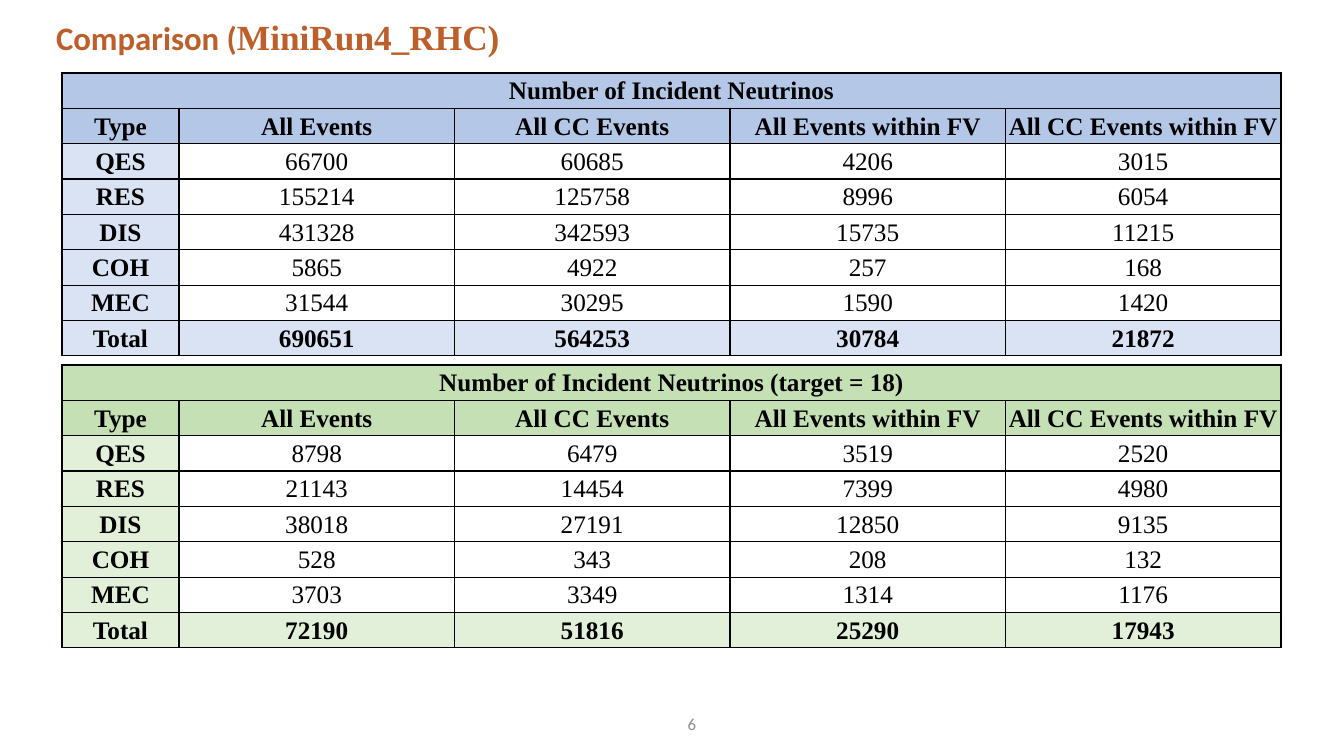
"""Build the neutrino event comparison slide with its two count tables."""
import lxml.etree
import pptx
import pptx.dml.color
import pptx.enum.text
import pptx.oxml.ns
import pptx.util

EMU_PER_PX = 914400 / 100.8
SERIF = "Times New Roman"
SANS = "Calibri"
COLORS = {
    "title": "BC5F2B",
    "page": "8C8C8C",
    "ink": "000000",
    "blue": "B4C7E7",
    "pale_blue": "DAE3F3",
    "green": "C5E0B4",
    "pale_green": "E2F0D9",
}
HEADINGS = ["Type", "All Events", "All CC Events", "All Events within FV", "All CC Events within FV"]
ALL_COUNTS = [
    ["QES", 66700, 60685, 4206, 3015],
    ["RES", 155214, 125758, 8996, 6054],
    ["DIS", 431328, 342593, 15735, 11215],
    ["COH", 5865, 4922, 257, 168],
    ["MEC", 31544, 30295, 1590, 1420],
    ["Total", 690651, 564253, 30784, 21872],
]
TARGET_COUNTS = [
    ["QES", 8798, 6479, 3519, 2520],
    ["RES", 21143, 14454, 7399, 4980],
    ["DIS", 38018, 27191, 12850, 9135],
    ["COH", 528, 343, 208, 132],
    ["MEC", 3703, 3349, 1314, 1176],
    ["Total", 72190, 51816, 25290, 17943],
]


def px(length):
    return pptx.util.Emu(round(length * EMU_PER_PX))


def rgb(name):
    return pptx.dml.color.RGBColor.from_string(COLORS[name])


def add_run(paragraph, text, size, font, color, bold=False):
    run = paragraph.add_run()
    run.text = text
    run.font.size = pptx.util.Pt(size)
    run.font.name = font
    run.font.bold = bold
    run.font.color.rgb = rgb(color)


def fill_title(slide):
    title = slide.shapes.title
    title.left, title.top, title.width, title.height = px(46), px(14), px(1239), px(51)
    frame = title.text_frame
    frame.auto_size = pptx.enum.text.MSO_AUTO_SIZE.NONE
    frame.vertical_anchor = pptx.enum.text.MSO_ANCHOR.MIDDLE
    heading = frame.paragraphs[0]
    heading.alignment = pptx.enum.text.PP_ALIGN.LEFT
    heading.line_spacing = 0.9
    add_run(heading, "Comparison (", 23.4, SANS, "title", True)
    add_run(heading, "MiniRun4_RHC)", 25.2, SERIF, "title", True)


def add_page_number(slide, number):
    frame = slide.shapes.add_textbox(px(638), px(714), px(68), px(20)).text_frame
    frame.word_wrap = True
    frame.vertical_anchor = pptx.enum.text.MSO_ANCHOR.MIDDLE
    frame.paragraphs[0].alignment = pptx.enum.text.PP_ALIGN.RIGHT
    add_run(frame.paragraphs[0], number, 12, SANS, "page")


def add_borders(cell):
    properties = cell._tc.get_or_add_tcPr()
    qn = pptx.oxml.ns.qn
    for side in ("a:lnL", "a:lnR", "a:lnT", "a:lnB"):
        line = lxml.etree.SubElement(properties, qn(side), w=str(pptx.util.Pt(1)))
        solid = lxml.etree.SubElement(line, qn("a:solidFill"))
        lxml.etree.SubElement(solid, qn("a:srgbClr"), val=COLORS["ink"])


def format_cell(cell, text, fill, bold):
    cell.margin_left = cell.margin_right = cell.margin_top = px(1)
    cell.margin_bottom = 0
    cell.vertical_anchor = pptx.enum.text.MSO_ANCHOR.MIDDLE
    add_borders(cell)
    if fill:
        cell.fill.solid()
        cell.fill.fore_color.rgb = rgb(fill)
    else:
        cell.fill.background()
    paragraph = cell.text_frame.paragraphs[0]
    paragraph.alignment = pptx.enum.text.PP_ALIGN.CENTER
    if text:
        add_run(paragraph, text, 18, SERIF, "ink", bold)


def add_count_table(slide, top, caption, counts, strong, pale):
    rows = [[caption, "", "", "", ""], HEADINGS, *counts]
    width, height, type_width = 1219, 283, 117
    table = slide.shapes.add_table(
        len(rows), len(HEADINGS), px(62), px(top), px(width), px(height)
    ).table
    table.first_row = table.horz_banding = False
    for index, column in enumerate(table.columns):
        column.width = px((width - type_width) / 4 if index else type_width)
    for r, values in enumerate(rows):
        table.rows[r].height = px(height / len(rows))
        for c, value in enumerate(values):
            labelled = c == 0 or r == len(rows) - 1
            fill = strong if r < 2 else pale if labelled else None
            format_cell(table.cell(r, c), str(value), fill, fill is not None)
    table.cell(0, 0).merge(table.cell(0, len(HEADINGS) - 1))


def main():
    deck = pptx.Presentation()
    deck.slide_width, deck.slide_height = px(1344), px(756)
    slide = deck.slides.add_slide(deck.slide_layouts[5])
    fill_title(slide)
    add_page_number(slide, "6")
    add_count_table(slide, 73, "Number of Incident Neutrinos", ALL_COUNTS, "blue", "pale_blue")
    add_count_table(
        slide, 365, "Number of Incident Neutrinos (target = 18)", TARGET_COUNTS, "green", "pale_green"
    )
    deck.save("out.pptx")


if __name__ == "__main__":
    main()
